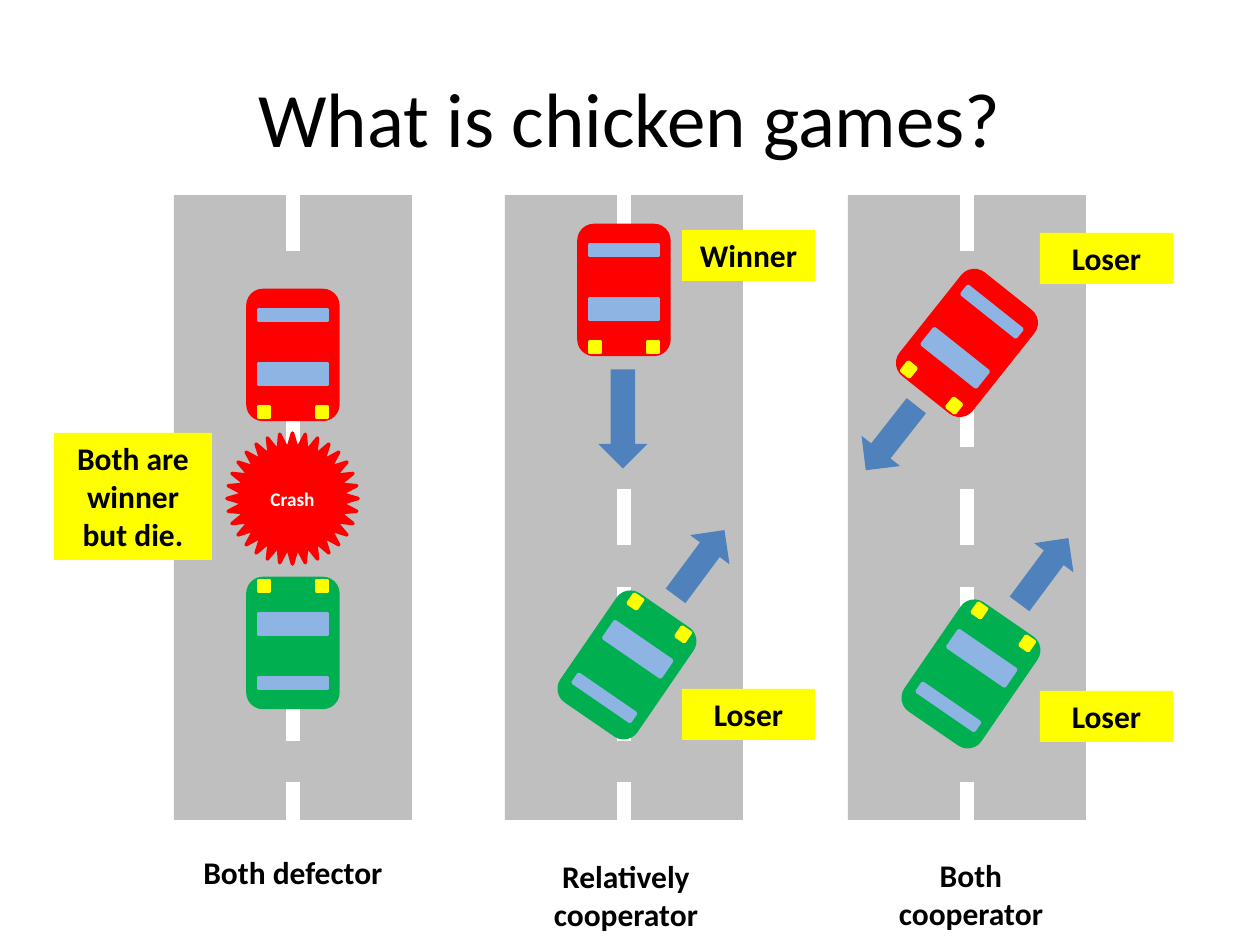
from math import cos, radians, sin

from lxml.etree import SubElement
from pptx import Presentation
from pptx.dml.color import RGBColor
from pptx.enum.dml import MSO_LINE
from pptx.enum.shapes import MSO_CONNECTOR, MSO_SHAPE
from pptx.enum.text import MSO_ANCHOR, MSO_AUTO_SIZE, PP_ALIGN
from pptx.oxml.ns import qn
from pptx.util import Inches, Pt

PX = Inches(1) / 126
FONT = "Calibri"
RED, GREEN, YELLOW = "FF0000", "00B050", "FFFF00"
GLASS, ROAD, ARROW = "8EB4E3", "BFBFBF", "4F81BD"
BLACK, WHITE = "000000", "FFFFFF"


def px(n):
    return round(n * PX)


def rgb(value):
    return RGBColor.from_string(value)


class Deck:
    """Holds the style and the current slide, and draws each kind of element."""

    def __init__(self):
        self.prs = Presentation()
        self.prs.slide_width, self.prs.slide_height = Inches(10), Inches(7.5)
        self.s = self.prs.slides.add_slide(self.prs.slide_layouts[5])

    def set_text(self, tf, text, size, color=BLACK, bold=True):
        tf.text = text
        p = tf.paragraphs[0]
        p.alignment = PP_ALIGN.CENTER
        p.font.name, p.font.size, p.font.bold = FONT, Pt(size), bold
        p.font.color.rgb = rgb(color)

    def title(self, text, x, y, w, h):
        sp = self.s.shapes.title
        sp.left, sp.top, sp.width, sp.height = map(px, (x, y, w, h))
        sp.text_frame.vertical_anchor = MSO_ANCHOR.MIDDLE
        self.set_text(sp.text_frame, text, 44, bold=False)

    def shape(self, kind, x, y, w, h, fill, outlined=False, rotation=0):
        sp = self.s.shapes.add_shape(kind, *map(px, (x, y, w, h)))
        sp.shadow.inherit = False
        sp.rotation = rotation
        sp.fill.solid()
        sp.fill.fore_color.rgb = rgb(fill)
        if outlined:
            sp.line.color.rgb = rgb(fill)
            sp.line.width = Pt(2)
        else:
            sp.line.fill.background()
        return sp

    def road(self, x, y, w, h):
        self.shape(MSO_SHAPE.RECTANGLE, x, y, w, h, ROAD)
        mid = x + w / 2
        line = self.s.shapes.add_connector(
            MSO_CONNECTOR.STRAIGHT, *map(px, (mid, y, mid, y + h)))
        line.line.color.rgb = rgb(WHITE)
        line.line.width = Pt(8)
        line.line.dash_style = MSO_LINE.DASH
        SubElement(line._element.spPr, qn("a:effectLst"))

    def car(self, cx, cy, color, heading, tilt=0):
        c, s = cos(radians(tilt)), sin(radians(tilt))
        rect = MSO_SHAPE.RECTANGLE
        parts = [
            (MSO_SHAPE.ROUNDED_RECTANGLE, 0, 0, 90, 129, color),
            (rect, 0, 19, 69, 20, GLASS),
            (rect, 0, -40, 69, 10, GLASS),
            (rect, -29, 57, 10, 11, YELLOW),
            (rect, 29, 57, 10, 11, YELLOW),
        ]
        for kind, dx, dy, w, h, fill in parts:
            dy *= heading
            x, y = cx + dx * c - dy * s, cy + dx * s + dy * c
            self.shape(kind, x - w / 2, y - h / 2, w, h, fill, True, tilt)

    def arrow(self, cx, cy, length, rotation=0):
        self.shape(MSO_SHAPE.DOWN_ARROW, cx - 24.5, cy - length / 2, 49, length,
                   ARROW, rotation=rotation)

    def crash(self, text, x, y, size):
        sp = self.shape(MSO_SHAPE.STAR_32_POINT, x, y, size, size, RED, True)
        tf = sp.text_frame
        tf.word_wrap = False
        tf.vertical_anchor = MSO_ANCHOR.MIDDLE
        self.set_text(tf, text, 11, WHITE)

    def label(self, text, x, y, w, h, fill=None):
        if fill:
            sp = self.shape(MSO_SHAPE.RECTANGLE, x, y, w, h, fill)
        else:
            sp = self.s.shapes.add_textbox(*map(px, (x, y, w, h)))
        tf = sp.text_frame
        tf.word_wrap = True
        tf.auto_size = MSO_AUTO_SIZE.SHAPE_TO_FIT_TEXT
        tf.vertical_anchor = MSO_ANCHOR.TOP
        self.set_text(tf, text, 18)


DOWN, UP = 1, -1
deck = Deck()
deck.title("What is chicken games?", 63, 38, 1134, 157)

for x in (174, 505, 848):
    deck.road(x, 195, 238, 625)

for cx, cy, color, heading, tilt in [
    (293, 355, RED, DOWN, 0),
    (293, 643, GREEN, UP, 0),
    (624, 290, RED, DOWN, 0),
    (627, 665, GREEN, UP, 34.5),
    (967, 343, RED, DOWN, 38.5),
    (971, 674, GREEN, UP, 34.5),
]:
    deck.car(cx, cy, color, heading, tilt)

deck.crash("Crash", 227, 433, 131)

for cx, cy, length, rotation in [
    (623, 419, 99, 0),
    (700, 563, 82, 216.6),
    (1044, 571, 82, 216.6),
    (891, 438, 82, 38.1),
]:
    deck.arrow(cx, cy, length, rotation)

for text, x, y, h in [
    ("Both defector", 174, 847, 50),
    ("Relatively cooperator", 507, 851, 89),
    ("Both cooperator", 852, 850, 89),
]:
    deck.label(text, x, y, 238, h)

for text, x, y in [
    ("Loser", 682, 689),
    ("Winner", 682, 230),
    ("Loser", 1040, 691),
    ("Loser", 1040, 233),
]:
    deck.label(text, x, y, 133, 51, YELLOW)
deck.label("Both are winner but die.", 54, 433, 158, 127, YELLOW)

deck.prs.save("out.pptx")
